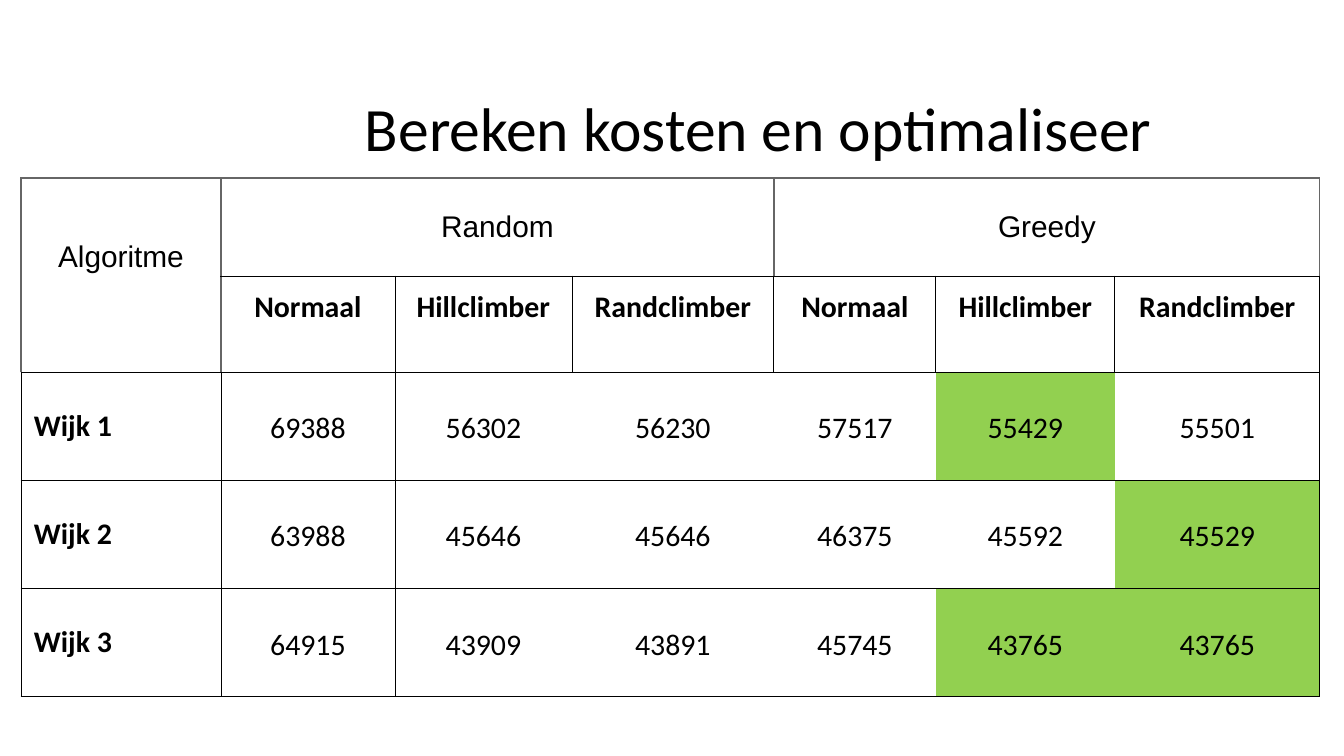
from dataclasses import dataclass

from lxml.etree import SubElement
from pptx import Presentation
from pptx.dml.color import RGBColor
from pptx.enum.text import MSO_ANCHOR, MSO_AUTO_SIZE, PP_ALIGN
from pptx.oxml.ns import qn
from pptx.util import Pt

UNIT = 914400 / 134.4


@dataclass(frozen=True)
class Theme:
    ink: str = "000000"
    grey: str = "666666"
    best: str = "92D050"
    body: str = "Calibri"
    head: str = "Arial"
    title: int = 33
    text: int = 16
    thin: float = 0.5
    rule: float = 0.75
    pad: int = 13


THEME = Theme()
COLS = [200, 174, 177, 202, 162, 179, 205]
ROWS = [98, 96, 108, 108, 109]
GROUPS = ["Random", "Greedy"]
KINDS = ["Normaal", "Hillclimber", "Randclimber"]
COSTS = {
    "Wijk 1": [69388, 56302, 56230, 57517, 55429, 55501],
    "Wijk 2": [63988, 45646, 45646, 46375, 45592, 45529],
    "Wijk 3": [64915, 43909, 43891, 45745, 43765, 43765],
}


def px(size):
    return round(size * UNIT)


def write(frame, text, size=THEME.text, font=THEME.body, bold=False,
          align=PP_ALIGN.CENTER, space=1.0):
    para = frame.paragraphs[0]
    para.alignment = align
    para.line_spacing = space
    run = para.add_run()
    run.text = text
    run.font.size = Pt(size)
    run.font.name = font
    run.font.bold = bold
    run.font.color.rgb = RGBColor.from_string(THEME.ink)


def inset(item, low=THEME.pad):
    item.margin_left = item.margin_right = item.margin_top = px(THEME.pad)
    item.margin_bottom = px(low)


def border(cell, **sides):
    """Draw the sides given as (colour, points); leave the others blank."""
    props = cell._tc.get_or_add_tcPr()
    for side in "LRTB":
        line = SubElement(props, qn(f"a:ln{side}"))
        if side in sides:
            color, width = sides[side]
            line.set("w", str(Pt(width)))
            fill = SubElement(line, qn("a:solidFill"))
            SubElement(fill, qn("a:srgbClr")).set("val", color)
        else:
            SubElement(line, qn("a:noFill"))


def edges(row, col):
    thin, rule = (THEME.ink, THEME.thin), (THEME.grey, THEME.rule)
    if row == 0 or (row == 1 and col == 0):
        return dict(L=rule, R=rule, T=rule, B=thin)
    sides = dict(T=thin, B=thin)
    if row == 1 or col <= 2:
        sides["L"] = thin
    if row == 1 or col <= 1 or col == len(COLS) - 1:
        sides["R"] = thin
    return sides


def heading(slide, x, y, w, h):
    shape = slide.shapes.title
    shape.left, shape.top, shape.width, shape.height = map(px, (x, y, w, h))
    frame = shape.text_frame
    frame.word_wrap = True
    frame.auto_size = MSO_AUTO_SIZE.NONE
    frame.vertical_anchor = MSO_ANCHOR.MIDDLE
    inset(frame)
    write(frame, "Bereken kosten en optimaliseer", size=THEME.title,
          align=PP_ALIGN.LEFT, space=0.9)


def costs(slide, x, y, w, h):
    table = slide.shapes.add_table(
        len(ROWS), len(COLS), *map(px, (x, y, w, h))).table
    table.first_row = table.horz_banding = False
    for col, size in zip(table.columns, COLS):
        col.width = px(size)
    for row, size in zip(table.rows, ROWS):
        row.height = px(size)

    # Plain grid
    for r in range(len(ROWS)):
        for c in range(len(COLS)):
            cell = table.cell(r, c)
            inset(cell)
            cell.vertical_anchor = MSO_ANCHOR.TOP if r == 1 else MSO_ANCHOR.MIDDLE
            border(cell, **edges(r, c))
            cell.fill.background()

    # Two header rows
    corner = table.cell(0, 0)
    corner.merge(table.cell(1, 0))
    inset(corner, low=48)
    write(corner.text_frame, "Algoritme", font=THEME.head)
    for g, group in enumerate(GROUPS):
        start = 1 + g * len(KINDS)
        top = table.cell(0, start)
        top.merge(table.cell(0, start + len(KINDS) - 1))
        write(top.text_frame, group, font=THEME.head)
        for c, kind in enumerate(KINDS, start):
            write(table.cell(1, c).text_frame, kind, bold=True)

    # Costs, with the lowest of each row marked
    for r, (name, values) in enumerate(COSTS.items(), 2):
        write(table.cell(r, 0).text_frame, name, bold=True, align=PP_ALIGN.LEFT)
        for c, value in enumerate(values, 1):
            cell = table.cell(r, c)
            write(cell.text_frame, str(value), space=1.15)
            if value == min(values):
                cell.fill.solid()
                cell.fill.fore_color.rgb = RGBColor.from_string(THEME.best)


def main():
    deck = Presentation()
    deck.slide_width, deck.slide_height = px(1344), px(756)
    slide = deck.slides.add_slide(deck.slide_layouts[5])
    heading(slide, 352, 85, 929, 93)
    costs(slide, 21, 178, sum(COLS), sum(ROWS))
    deck.save("out.pptx")


if __name__ == "__main__":
    main()
